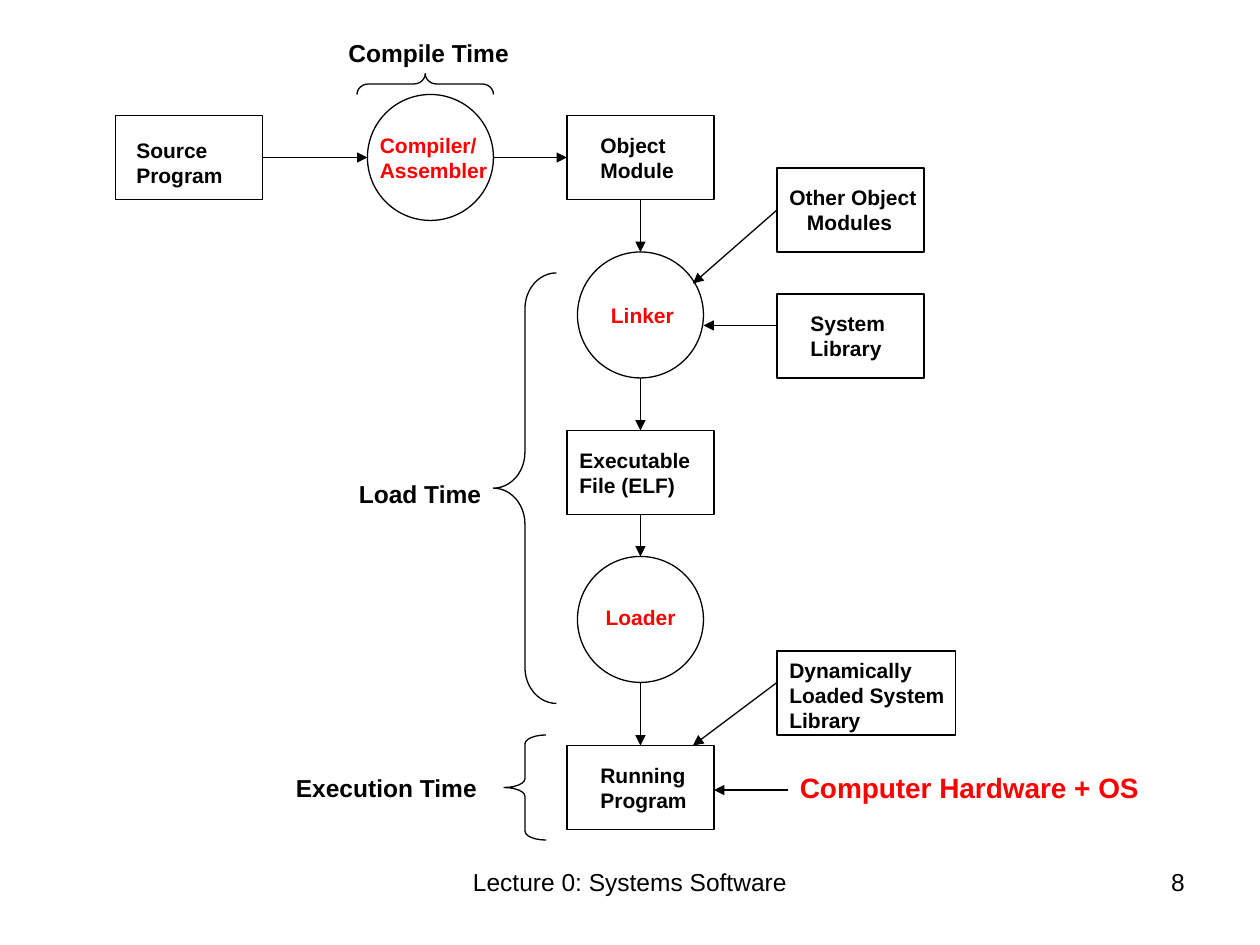
from dataclasses import dataclass

from lxml import etree
from pptx import Presentation
from pptx.dml.color import RGBColor
from pptx.enum.shapes import MSO_CONNECTOR, MSO_SHAPE
from pptx.enum.text import PP_ALIGN
from pptx.oxml.ns import qn
from pptx.util import Inches, Pt

RECT, CIRCLE, BRACE = MSO_SHAPE.RECTANGLE, MSO_SHAPE.OVAL, MSO_SHAPE.LEFT_BRACE
STRAIGHT = MSO_CONNECTOR.STRAIGHT
LEFT, CENTER, RIGHT = PP_ALIGN.LEFT, PP_ALIGN.CENTER, PP_ALIGN.RIGHT
COLUMNS, ROWS, CELL = 120, 90, 1 / 12


@dataclass(frozen=True)
class Theme:
    """Colours, font and type sizes of the slide."""
    ink: RGBColor = RGBColor(0, 0, 0)
    accent: RGBColor = RGBColor(255, 0, 0)
    font: str = "Arial"
    node: int = 12
    label: int = 14
    callout: int = 16
    line: float = 0.75


def grid(*cells):
    """Turn grid cells into slide lengths."""
    return [Inches(cell * CELL) for cell in cells]


class Diagram:
    """Draws flow chart elements on one page."""

    def __init__(self, page, theme):
        """Keep the page and its style."""
        self.page, self.theme = page, theme

    def outline(self, kind, column, row, width, height, bend=None, turn=0):
        """Add an unfilled shape; bend sets the curl of a brace."""
        shape = self.page.shapes.add_shape(kind, *grid(column, row, width, height))
        shape.shadow.inherit = False
        shape.fill.background()
        shape.line.color.rgb = self.theme.ink
        shape.line.width = Pt(self.theme.line)
        shape.rotation = turn
        if bend is not None:
            shape.adjustments[0] = bend

    def text(self, words, column, row, width, size, color=None, align=LEFT,
             indents=(), wrap=False):
        """Add bold lines of text, or plain ones when they wrap."""
        lines = words.split("\n")
        height = (len(lines) * size * 1.2 / 72 + 0.1) / CELL
        box = self.page.shapes.add_textbox(*grid(column, row, width, height))
        frame = box.text_frame
        frame.word_wrap = wrap
        for number, line in enumerate(lines):
            para = frame.paragraphs[0] if number == 0 else frame.add_paragraph()
            para.text, para.alignment = line, align
            para.font.name, para.font.size = self.theme.font, Pt(size)
            para.font.bold = not wrap
            para.font.color.rgb = color or self.theme.ink
            if number < len(indents):
                properties = para._p.get_or_add_pPr()
                properties.set("marL", str(Inches(indents[number])))
                properties.set("indent", "0")

    def arrow(self, start, end):
        """Add a straight arrow between two grid points."""
        link = self.page.shapes.add_connector(STRAIGHT, *grid(*start, *end))
        link.line.color.rgb = self.theme.ink
        link.line.width = Pt(self.theme.line)
        etree.SubElement(link.line._get_or_add_ln(), qn("a:tailEnd"), type="triangle")
        etree.SubElement(link._element.spPr, qn("a:effectLst"))


BOX_WIDTH, BOX_HEIGHT, DIAMETER = 14, 8, 12
BOXES = [(11, 11), (54, 11), (54, 41), (54, 71), (74, 16), (74, 28)]
CIRCLES = [(35, 9), (55, 24), (55, 53)]
BRACES = [
    (47, 26, 6, 41, 0.57, 0),
    (48, 70, 4, 10, 0.21, 0),
    (39.5, 1.5, 2, 13, 0.54, 90),
]
ARROWS = [
    ((25, 15), (35, 15)), ((47, 15), (54, 15)),
    ((61, 19), (61, 24)), ((61, 36), (61, 41)),
    ((61, 49), (61, 53)), ((61, 65), (61, 71)),
    ((74, 20), (66, 27)), ((74, 31), (67, 31)),
    ((74, 65), (66, 71)), ((75, 75.25), (68, 75.25)),
]
NODE_TEXTS = [
    ("Source\nProgram", 11.8, 12.5, 10.7),
    ("Object\nModule", 56, 12, 9.5),
    ("Executable\nFile (ELF)", 54, 42, 13.1),
    ("Running\nProgram", 56, 72, 10.7),
    ("System\nLibrary", 76, 29, 9.5),
    ("Dynamically\nLoaded System\nLibrary", 74, 62, 17.2),
]
STEP_TEXTS = [
    ("Compiler/\nAssembler", 35, 12, 12.7),
    ("Linker", 57, 28.2, 8.5),
    ("Loader", 56.5, 57, 9.2),
]
PHASES = [
    ("Compile Time", 32, 3, 17.8),
    ("Load Time", 33, 45, 14.2),
    ("Execution Time", 27, 73, 19.7),
]


def main():
    """Build the slide and save it."""
    deck = Presentation()
    deck.slide_width, deck.slide_height = grid(COLUMNS, ROWS)
    theme = Theme()
    diagram = Diagram(deck.slides.add_slide(deck.slide_layouts[6]), theme)

    for place in BOXES:
        diagram.outline(RECT, *place, BOX_WIDTH, BOX_HEIGHT)
    diagram.outline(RECT, 74, 62, 17, BOX_HEIGHT)
    for place in CIRCLES:
        diagram.outline(CIRCLE, *place, DIAMETER, DIAMETER)
    for brace in BRACES:
        diagram.outline(BRACE, *brace)
    for start, end in ARROWS:
        diagram.arrow(start, end)

    for entry in NODE_TEXTS:
        diagram.text(*entry, theme.node)
    diagram.text("Other Object\nModules", 74, 17, 14.6, theme.node, indents=(0, 0.14))
    for entry in STEP_TEXTS:
        diagram.text(*entry, theme.node, theme.accent)
    for entry in PHASES:
        diagram.text(*entry, theme.label)
    diagram.text("Computer Hardware + OS", 75, 72.8, 35.1, theme.callout, theme.accent)
    diagram.text("Lecture 0: Systems Software", 41, 82, 38, theme.label,
                 align=CENTER, wrap=True)
    diagram.text("8", 86, 82, 28, theme.label, align=RIGHT, wrap=True)
    deck.save("out.pptx")


main()
